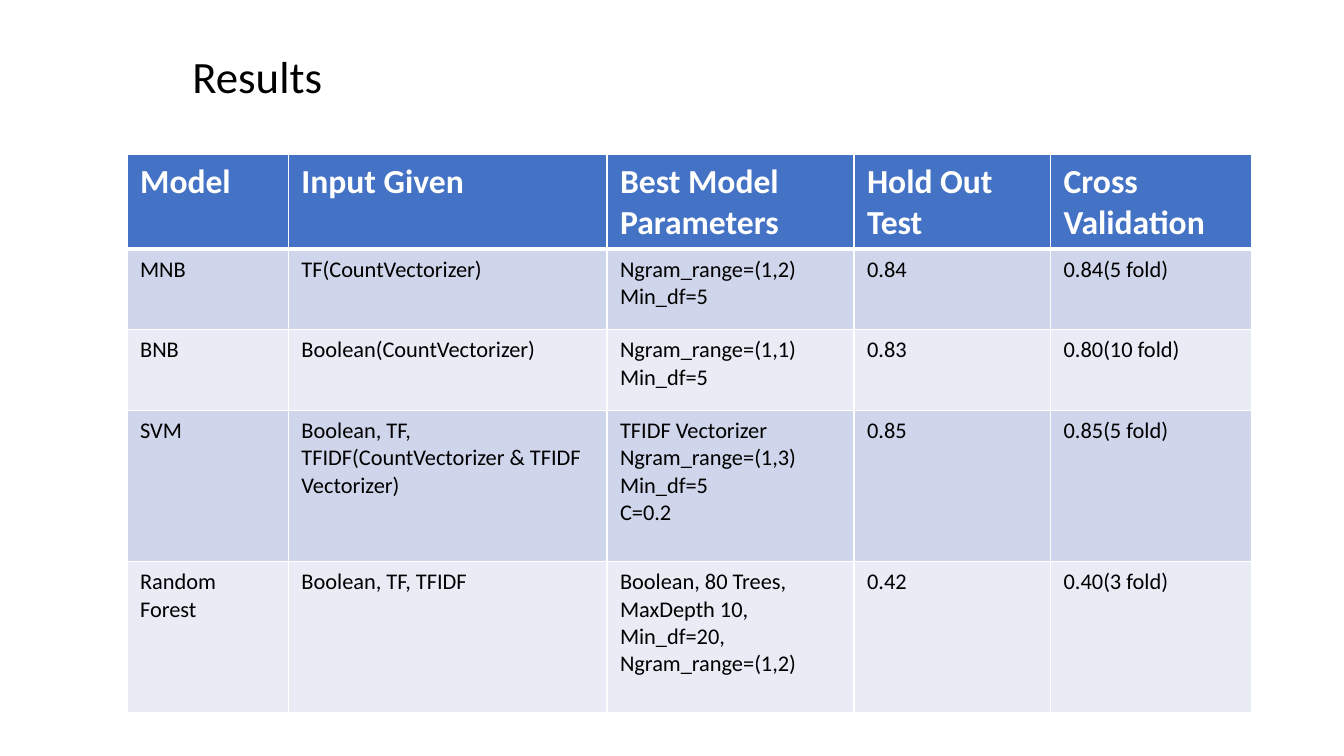
from lxml.etree import SubElement
from pptx import Presentation
from pptx.dml.color import RGBColor
from pptx.enum.text import MSO_ANCHOR
from pptx.oxml.ns import qn
from pptx.util import Inches, Pt

COLORS = {
    "text": "000000",
    "light": "FFFFFF",
    "header": "4472C4",
    "odd": "CFD5EA",
    "even": "E9EBF5",
}
COLUMN_WIDTHS = [1.6, 3.16, 2.45, 1.95, 1.99]
ROW_HEIGHTS = [0.85, 0.8, 0.8, 1.5, 1.5]
RESULTS = [
    ["Model", "Input Given", "Best Model Parameters", "Hold Out Test", "Cross Validation"],
    ["MNB", "TF(CountVectorizer)", "Ngram_range=(1,2)\nMin_df=5", "0.84", "0.84(5 fold)"],
    ["BNB", "Boolean(CountVectorizer)", "Ngram_range=(1,1)\nMin_df=5", "0.83", "0.80(10 fold)"],
    ["SVM", "Boolean, TF, TFIDF(CountVectorizer & TFIDF Vectorizer)",
     "TFIDF Vectorizer\nNgram_range=(1,3)\nMin_df=5\nC=0.2", "0.85", "0.85(5 fold)"],
    ["Random Forest", "Boolean, TF, TFIDF",
     "Boolean, 80 Trees, MaxDepth 10, Min_df=20, Ngram_range=(1,2)", "0.42", "0.40(3 fold)"],
]


class SlideBuilder:
    font = "Calibri"

    def __init__(self, slide):
        self.slide = slide

    def color(self, name):
        return RGBColor.from_string(COLORS[name])

    def set_text(self, frame, text, size, color, bold=False):
        frame.text = text
        for paragraph in frame.paragraphs:
            paragraph.font.name = self.font
            paragraph.font.size = Pt(size)
            paragraph.font.bold = bold
            paragraph.font.color.rgb = self.color(color)

    def title(self, text, left, top, width, height):
        frame = self.slide.shapes.add_textbox(
            Inches(left), Inches(top), Inches(width), Inches(height)).text_frame
        frame.word_wrap = True
        frame.vertical_anchor = MSO_ANCHOR.TOP
        frame.margin_left = frame.margin_right = Inches(0.1)
        frame.margin_top = frame.margin_bottom = Inches(0.1)
        self.set_text(frame, text, 32, "text")
        frame.paragraphs[0].line_spacing = 0.9

    def border(self, cell, side, points):
        properties = cell._tc.get_or_add_tcPr()
        line = SubElement(properties, qn(f"a:ln{side}"), w=str(Pt(points)))
        SubElement(SubElement(line, qn("a:solidFill")), qn("a:srgbClr"), val=COLORS["light"])

    def cell(self, cell, text, row):
        is_header = row == 0
        cell.margin_left = cell.margin_right = Inches(0.13)
        cell.margin_top = cell.margin_bottom = Inches(0.07)
        widths = {"L": 1, "R": 1, "T": 3 if row == 1 else 1, "B": 3 if is_header else 1}
        for side, points in widths.items():
            self.border(cell, side, points)
        cell.fill.solid()
        band = "header" if is_header else "odd" if row % 2 else "even"
        cell.fill.fore_color.rgb = self.color(band)
        if is_header:
            self.set_text(cell.text_frame, text, 24, "light", bold=True)
        else:
            self.set_text(cell.text_frame, text, 16, "text")

    def table(self, rows, left, top, widths, heights):
        table = self.slide.shapes.add_table(
            len(rows), len(widths), Inches(left), Inches(top),
            Inches(sum(widths)), Inches(sum(heights))).table
        for column, width in zip(table.columns, widths):
            column.width = Inches(width)
        for table_row, height in zip(table.rows, heights):
            table_row.height = Inches(height)
        for row, texts in enumerate(rows):
            for column, text in enumerate(texts):
                self.cell(table.cell(row, column), text, row)


def main():
    presentation = Presentation()
    presentation.slide_width = Inches(13.33)
    presentation.slide_height = Inches(7.5)
    builder = SlideBuilder(presentation.slides.add_slide(presentation.slide_layouts[6]))
    builder.title("Results", 1.81, 0.44, 10.26, 1.33)
    builder.table(RESULTS, 1.26, 1.53, COLUMN_WIDTHS, ROW_HEIGHTS)
    presentation.save("out.pptx")


if __name__ == "__main__":
    main()
